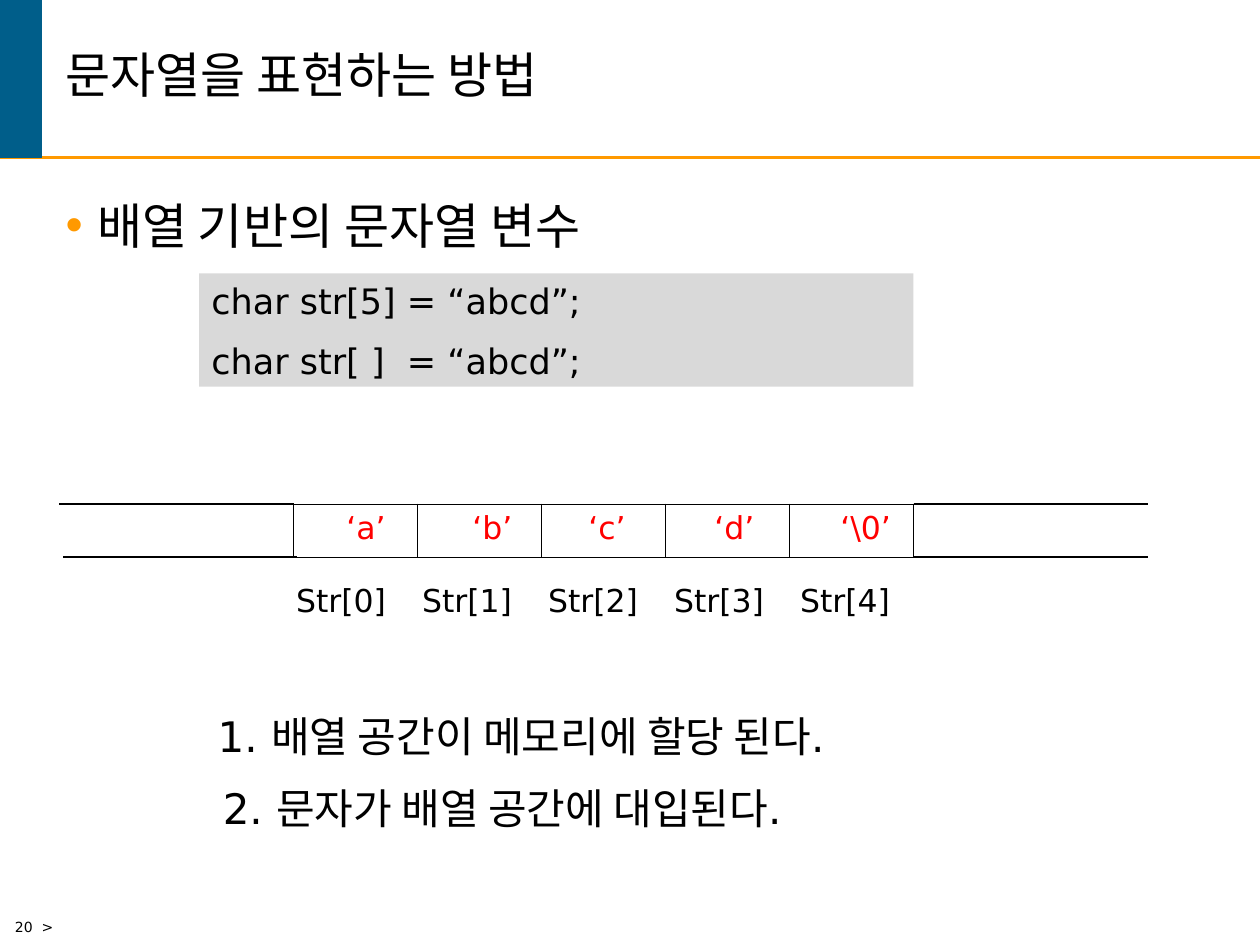
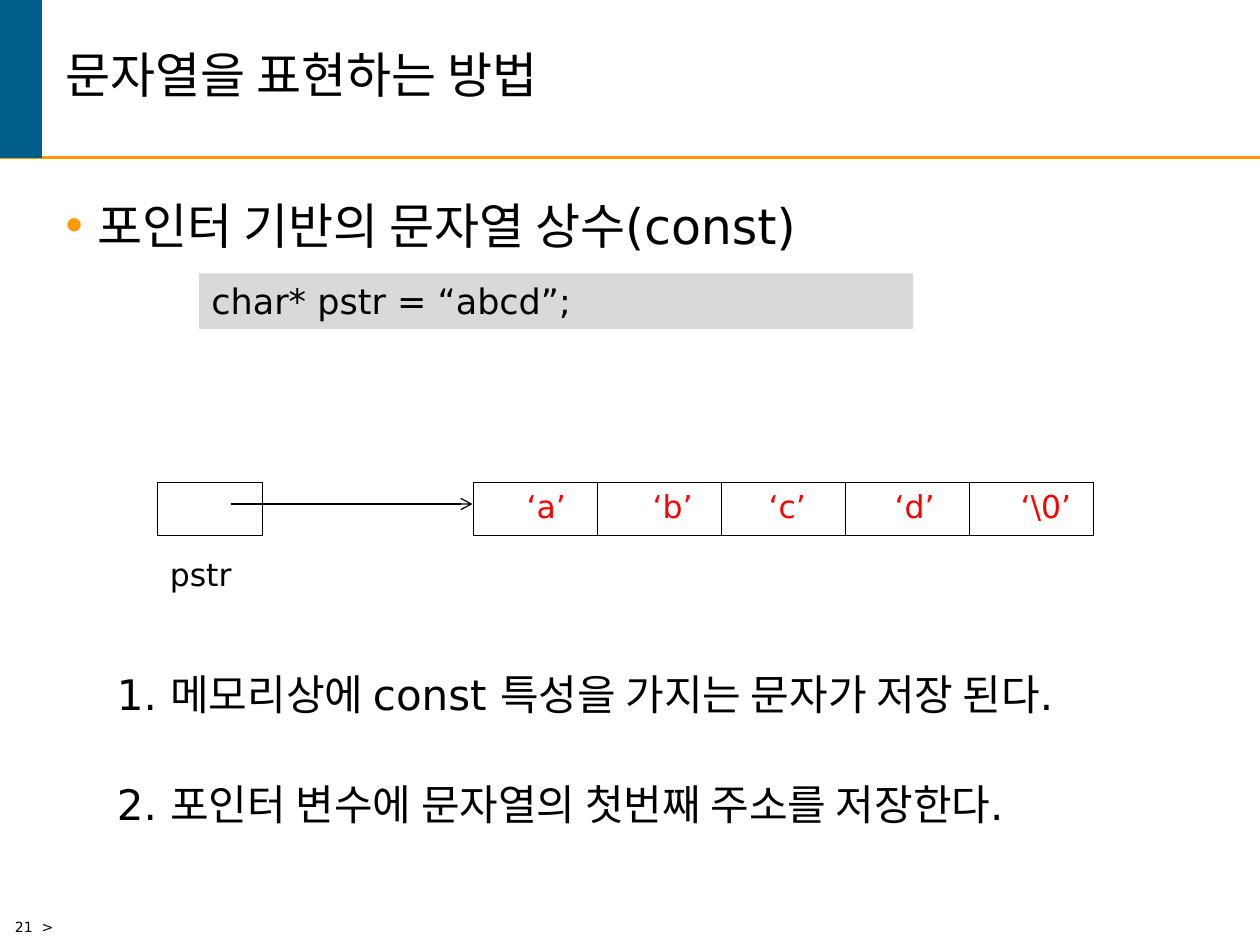
"""Build two slides on array-based and pointer-based strings in C."""
from dataclasses import dataclass

import lxml.etree
import pptx
import pptx.dml.color
import pptx.enum.shapes
import pptx.enum.text
import pptx.oxml
import pptx.oxml.ns
import pptx.util

Inches = pptx.util.Inches
Pt = pptx.util.Pt
qn = pptx.oxml.ns.qn


@dataclass(frozen=True)
class Theme:
    """Colours, font and type sizes of the deck."""
    font: str = "DejaVu Sans"
    ink: str = "000000"
    accent: str = "FF9900"
    band: str = "005E8A"
    code_fill: str = "D9D9D9"
    letter: str = "FF0000"
    heading_size: int = 28
    note_size: int = 24
    code_size: int = 20
    cell_size: int = 18
    footer_size: int = 8
    rule_width: float = 1.5
    border_width: float = 0.45
    arrow_width: float = 0.75


THEME = Theme()
TITLE = "문자열을 표현하는 방법"
LETTERS = ["‘a’", "‘b’", "‘c’", "‘d’", "‘\\0’"]
LETTER_INSETS = [0.34, 0.34, 0.26, 0.26, 0.26]
LETTERS_OFFSET = -0.92
MEMORY_WIDTH = 4.92
CELL_HEIGHT = 0.42


def rgb(value):
    """Turn a hex string into a colour."""
    return pptx.dml.color.RGBColor.from_string(value)


def format_runs(paragraph, size, color=THEME.ink):
    """Apply the deck font to every run of a paragraph."""
    for run in paragraph.runs:
        run.font.name = THEME.font
        run.font.size = Pt(size)
        run.font.color.rgb = rgb(color)


def add_line(slide, start, end, color=THEME.ink, width=THEME.rule_width, arrow=False):
    """Draw a straight line, with an open arrowhead at its end if asked."""
    line = slide.shapes.add_connector(
        pptx.enum.shapes.MSO_CONNECTOR.STRAIGHT,
        *(Inches(value) for value in (*start, *end)))
    line.line.color.rgb = rgb(color)
    line.line.width = Pt(width)
    if arrow:
        outline = line.line.fill and line.element.spPr.find(qn("a:ln"))
        lxml.etree.SubElement(outline, qn("a:tailEnd"), type="arrow")
    lxml.etree.SubElement(line.element.spPr, qn("a:effectLst"))
    return line


def add_rectangle(slide, left, top, width, height, fill):
    """Draw a plain filled rectangle."""
    rectangle = slide.shapes.add_shape(
        pptx.enum.shapes.MSO_SHAPE.RECTANGLE,
        Inches(left), Inches(top), Inches(width), Inches(height))
    rectangle.shadow.inherit = False
    rectangle.fill.solid()
    rectangle.fill.fore_color.rgb = rgb(fill)
    rectangle.line.fill.background()
    return rectangle


def add_text(slide, text, left, top, width, height, size):
    """Place one line of text."""
    box = slide.shapes.add_textbox(
        Inches(left), Inches(top), Inches(width), Inches(height))
    box.text_frame.word_wrap = True
    box.text_frame.text = text
    format_runs(box.text_frame.paragraphs[0], size)


def add_code(slide, lines, height):
    """Place code lines on a grey panel."""
    frame = add_rectangle(slide, 1.58, 2.17, 5.67, height, THEME.code_fill).text_frame
    frame.vertical_anchor = pptx.enum.text.MSO_ANCHOR.TOP
    frame.text = "\n".join(lines)
    for index, paragraph in enumerate(frame.paragraphs):
        paragraph.alignment = pptx.enum.text.PP_ALIGN.LEFT
        paragraph.space_before = Pt(10 if index else 0)
        format_runs(paragraph, THEME.code_size)


def set_borders(cell, visible):
    """Give a cell thin black borders or none."""
    properties = cell._tc.get_or_add_tcPr()
    for side in ("lnL", "lnR", "lnT", "lnB"):
        border = lxml.etree.SubElement(
            properties, qn(f"a:{side}"), w=str(int(Pt(THEME.border_width))))
        if visible:
            solid = lxml.etree.SubElement(border, qn("a:solidFill"))
            lxml.etree.SubElement(solid, qn("a:srgbClr"), val=THEME.ink)
        else:
            lxml.etree.SubElement(border, qn("a:noFill"))


def add_row(slide, left, top, width, columns, bordered=False):
    """Add an unfilled one-row table with equal columns and return its cells."""
    table = slide.shapes.add_table(
        1, columns, Inches(left), Inches(top), Inches(width), Inches(CELL_HEIGHT)).table
    table.first_row = False
    table.horz_banding = False
    for column in table.columns:
        column.width = Inches(width / columns)
    cells = list(table.rows[0].cells)
    for cell in cells:
        set_borders(cell, bordered)
        cell.fill.background()
    return cells


def add_cell_texts(slide, left, top, texts, insets, color):
    """Add a row of texts one inch apart with an empty cell at each end."""
    columns = len(texts) + 2
    cells = add_row(slide, left, top, columns, columns)
    for cell, text, inset in zip(cells[1:-1], texts, insets):
        cell.margin_left = Inches(inset)
        cell.text_frame.text = text
        format_runs(cell.text_frame.paragraphs[0], THEME.cell_size, color)


def add_memory(slide, left, top):
    """Draw the boxed memory cells holding the string."""
    add_row(slide, left, top, MEMORY_WIDTH, len(LETTERS), bordered=True)
    add_cell_texts(slide, left + LETTERS_OFFSET, top, LETTERS, LETTER_INSETS, THEME.letter)


def set_bullet(paragraph):
    """Give a paragraph a hanging accent-coloured bullet."""
    properties = paragraph._p.get_or_add_pPr()
    properties.set("marL", str(Inches(0.25)))
    properties.set("indent", str(-Inches(0.25)))
    color = lxml.etree.SubElement(properties, qn("a:buClr"))
    lxml.etree.SubElement(color, qn("a:srgbClr"), val=THEME.accent)
    lxml.etree.SubElement(properties, qn("a:buChar"), char="•")


def prepare_layout(layout, slide):
    """Set the layout's placeholders and move the header band and rule onto it."""
    for placeholder in list(layout.placeholders):
        kind = placeholder.placeholder_format.idx
        if kind > 1:
            placeholder.element.getparent().remove(placeholder.element)
            continue
        top, height = ((0, 1.25), (1.5, 5.25))[kind]
        placeholder.left, placeholder.top = Inches(0.42), Inches(top)
        placeholder.width, placeholder.height = Inches(9.33), Inches(height)
    rule = add_line(slide, (0, 1.25), (10, 1.25), THEME.accent)
    band = add_rectangle(slide, 0, 0, 0.33, 1.25, THEME.band)
    band.line.color.rgb = rgb(THEME.band)
    band.line.width = Pt(1)
    first = layout.placeholders[0].element
    for part in (rule, band):
        first.addprevious(part.element)


def fill_frame(slide, topic, number):
    """Write the title, the topic bullet and the page number."""
    heading = slide.shapes.title.text_frame
    heading.text = TITLE
    heading.vertical_anchor = pptx.enum.text.MSO_ANCHOR.MIDDLE
    heading.paragraphs[0].alignment = pptx.enum.text.PP_ALIGN.LEFT
    heading.paragraphs[0].line_spacing = 0.85
    body = slide.placeholders[1].text_frame
    body.text = topic
    body.paragraphs[0].space_before = Pt(7)
    set_bullet(body.paragraphs[0])
    for frame in (heading, body):
        frame.auto_size = pptx.enum.text.MSO_AUTO_SIZE.NONE
        format_runs(frame.paragraphs[0], THEME.heading_size)
    add_text(slide, f"{number}  >", 0.02, 7.24, 1.4, 0.26, THEME.footer_size)


def build_array_slide(slide):
    """Show a string held in an array."""
    fill_frame(slide, "배열 기반의 문자열 변수", 20)
    add_code(slide, ["char str[5] = “abcd”;", "char str[ ]  = “abcd”;"], 0.9)
    labels = [f"Str[{index}]" for index in range(len(LETTERS))]
    add_cell_texts(slide, 1.25, 4.58, labels, [0.1] * len(labels), THEME.ink)
    for left, top in ((0.47, 4), (0.5, 4.42), (7.25, 4), (7.25, 4.42)):
        add_line(slide, (left, top), (left + 1.86, top))
    add_memory(slide, 2.33, 4)
    add_text(slide, "1. 배열 공간이 메모리에 할당 된다.", 1.63, 5.59, 7, 0.5, THEME.note_size)
    add_text(slide, "2. 문자가 배열 공간에 대입된다.", 1.67, 6.16, 7, 0.5, THEME.note_size)


def build_pointer_slide(slide):
    """Show a string constant reached through a pointer."""
    fill_frame(slide, "포인터 기반의 문자열 상수(const)", 21)
    add_code(slide, ["char* pstr = “abcd”;"], 0.44)
    add_memory(slide, 3.76, 3.83)
    add_text(slide, "1. 메모리상에 const 특성을 가지는 문자가 저장 된다.",
             0.83, 5.26, 8.83, 0.5, THEME.note_size)
    add_text(slide, "2. 포인터 변수에 문자열의 첫번째 주소를 저장한다.",
             0.83, 6.13, 9, 0.5, THEME.note_size)
    add_row(slide, 1.25, 3.83, 0.83, 1, bordered=True)
    add_text(slide, "pstr", 1.25, 4.36, 1.17, 0.4, THEME.cell_size)
    add_line(slide, (1.83, 4), (3.75, 4), width=THEME.arrow_width, arrow=True)


def main():
    """Build and save the deck."""
    deck = pptx.Presentation()
    deck.slide_width, deck.slide_height = Inches(10), Inches(7.5)
    layout = deck.slide_layouts[1]
    array_slide, pointer_slide = (deck.slides.add_slide(layout) for _ in range(2))
    prepare_layout(layout, array_slide)
    build_array_slide(array_slide)
    build_pointer_slide(pointer_slide)
    deck.save("out.pptx")


if __name__ == "__main__":
    main()
